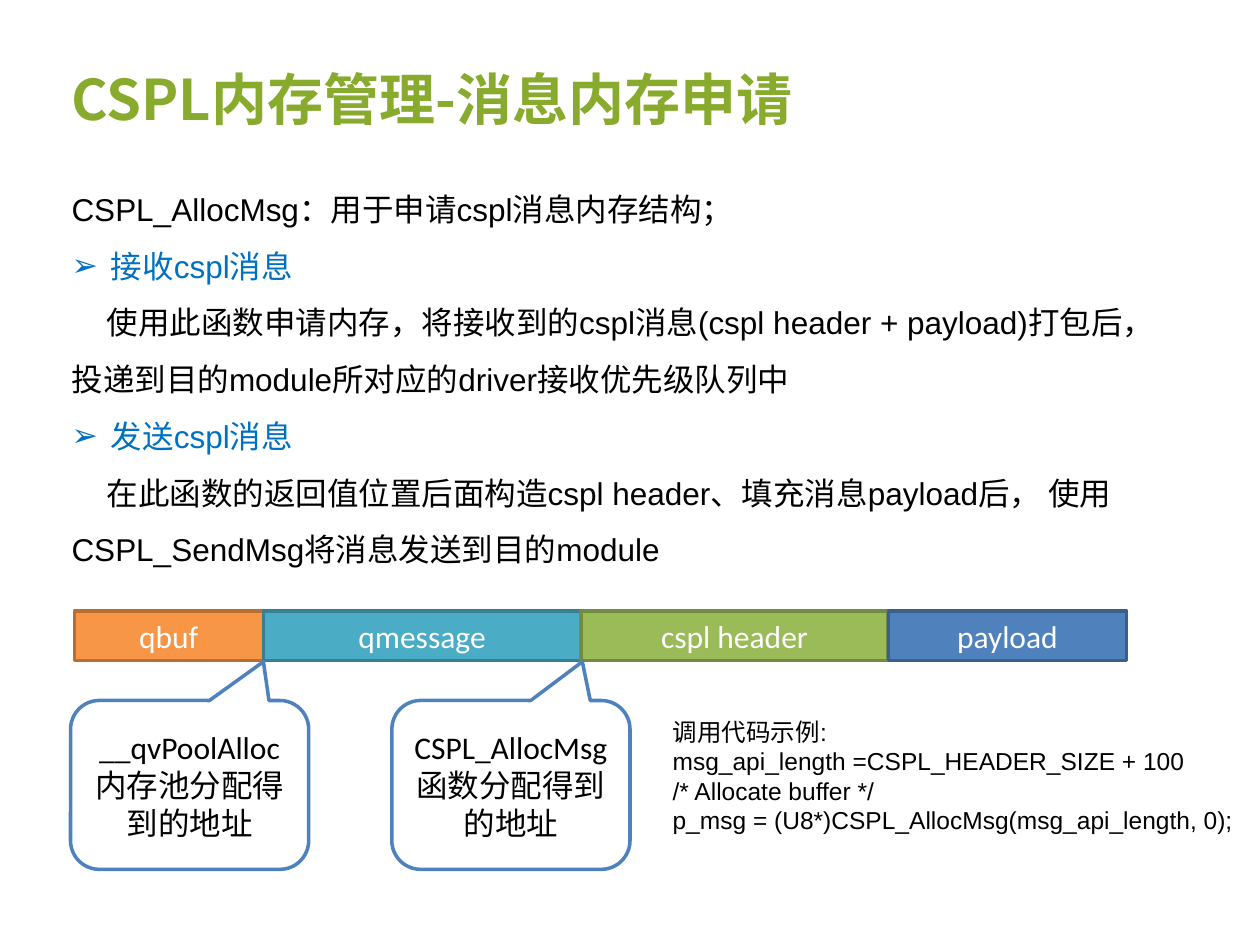
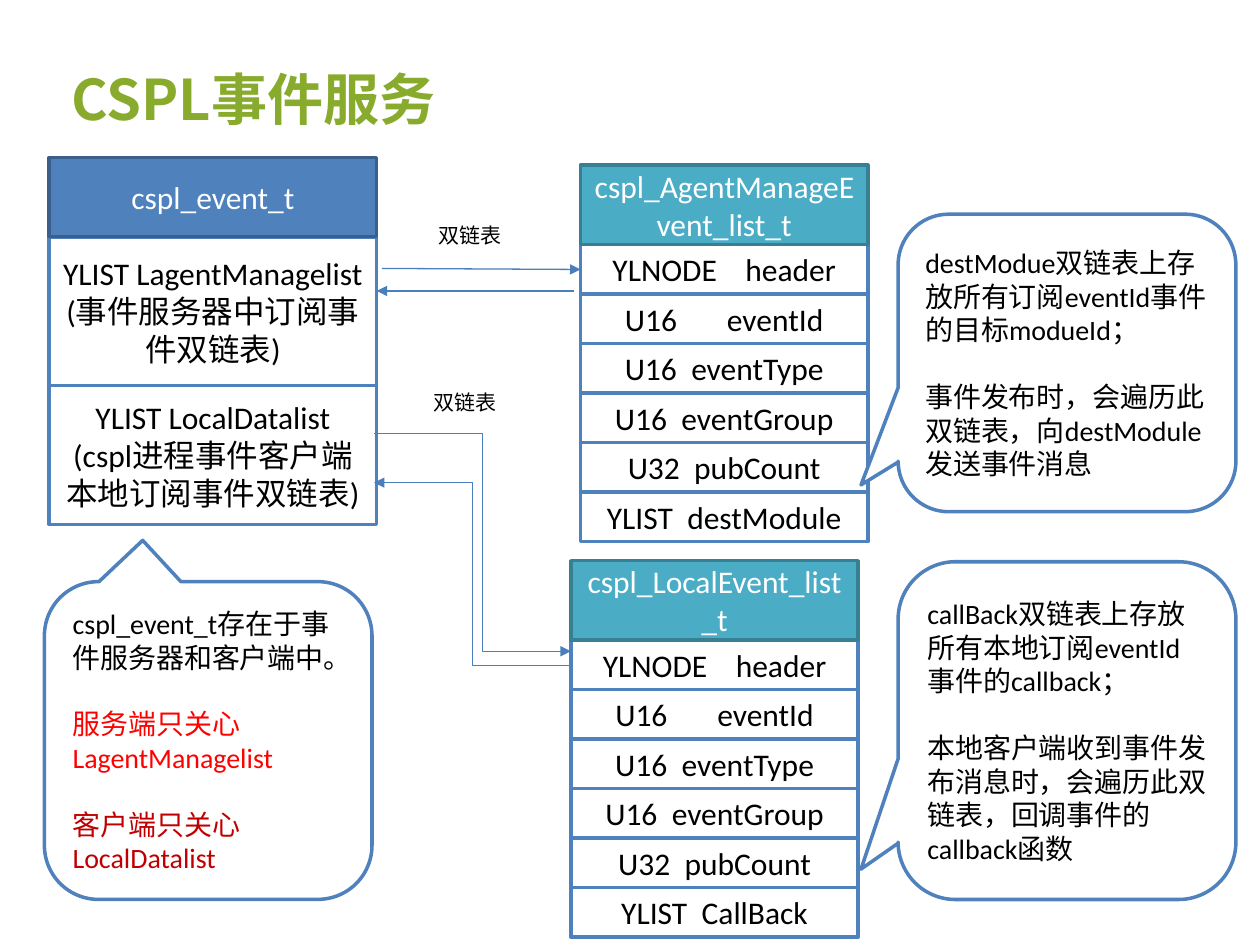
import pptx
import pptx.dml.color
import pptx.enum.shapes
import pptx.enum.text
import pptx.oxml.ns
import pptx.util
from lxml import etree

Pt = pptx.util.Pt
qn = pptx.oxml.ns.qn
PRESET = pptx.enum.shapes.MSO_SHAPE
CONNECTOR = pptx.enum.shapes.MSO_CONNECTOR
ALIGN = pptx.enum.text.PP_ALIGN
ANCHOR = pptx.enum.text.MSO_ANCHOR

COLORS = {
    "title": "88AB2D", "black": "000000", "white": "FFFFFF", "topic": "0070C0",
    "server": "FF0000", "client": "C00000", "arrow": "4B7EBC",
    "blue": "4F81BD", "blue_edge": "3A5F8C", "teal": "4BACC6", "teal_edge": "377F92",
    "orange": "F79646", "orange_edge": "B76F34", "green": "9BBB59", "green_edge": "738A42",
}
CJK_FONT = "Noto Sans CJK SC"

ALLOC_TITLE = "CSPL内存管理-消息内存申请"
ALLOC_NOTES = [
    ("lead", "CSPL_AllocMsg：用于申请cspl消息内存结构；"),
    ("topic", "接收cspl消息"),
    ("detail", "使用此函数申请内存，将接收到的cspl消息(cspl header + payload)打包后， "
               "投递到目的module所对应的driver接收优先级队列中"),
    ("topic", "发送cspl消息"),
    ("detail", "在此函数的返回值位置后面构造cspl header、填充消息payload后， "
               "使用CSPL_SendMsg将消息发送到目的module"),
]
MESSAGE_PARTS = [
    ("qbuf", 108, "orange"),
    ("qmessage", 181.4, "teal"),
    ("cspl header", 175.7, "green"),
    ("payload", 136.1, "blue"),
]
ADDRESS_CALLOUTS = [
    (40.3, "__qvPoolAlloc内存池分配得到的地址", (0.31, -0.73, 0.17)),
    (223.9, "CSPL_AllocMsg函数分配得到的地址", (0.3, -0.73, 0.17)),
]
CODE_LINES = [
    "调用代码示例:",
    "msg_api_length =CSPL_HEADER_SIZE + 100",
    "/* Allocate buffer */",
    "p_msg = (U8*)CSPL_AllocMsg(msg_api_length, 0);",
]

EVENT_TITLE = "CSPL事件服务"
EVENT_LISTS = [
    (85, ["YLIST LagentManagelist", "(事件服务器中订阅事件双链表)"]),
    (79.4, ["YLIST LocalDatalist", "(cspl进程事件客户端本地订阅事件双链表)"]),
]
NODE_FIELDS = [
    ("YLNODE", "header", 12.2),
    ("U16", "eventId", 24.4),
    ("U16", "eventType", 4.1),
    ("U16", "eventGroup", 4.1),
    ("U32", "pubCount", 4.1),
]
NODE_STRUCTS = [
    ("cspl_AgentManageEvent_list_t", 331.7, 94.4, "destModule"),
    ("cspl_LocalEvent_list_t", 326.2, 320.4, "CallBack"),
]
EVENT_CALLOUTS = [
    ((25.4, 332.4, 187.2, 181.6), (-0.2, -0.63, 0.17), [
        ("cspl_event_t存在于事件服务器和客户端中。", "black"),
        ("服务端只关心LagentManagelist", "server"),
        ("客户端只关心LocalDatalist", "client"),
    ]),
    ((513.2, 122.4, 193, 170), (-0.61, 0.41, 0.17), [
        ("destModue双链表上存放所有订阅eventId事件的目标modueId；", "black"),
        ("事件发布时，会遍历此双链表，向destModule发送事件消息", "black"),
    ]),
    ((513.2, 321, 193, 193), (-0.61, 0.41, 0.17), [
        ("callBack双链表上存放所有本地订阅eventId事件的callback；", "black"),
        ("本地客户端收到事件发布消息时，会遍历此双链表，回调事件的callback函数", "black"),
    ]),
]
LINK_LABEL = "双链表"
LINK_LABEL_SPOTS = [(243.4, 123.8), (240.5, 218.9)]
STRAIGHT_LINKS = [((218.2, 153.4), (331.7, 154)), ((328.3, 166.3), (215.3, 166.3))]
BENT_LINKS = [((213.8, 247.7), (326.2, 372.2), 0.55), ((326.2, 380.2), (213.8, 275.8), 0.5)]


def rgb(name):
    return pptx.dml.color.RGBColor.from_string(COLORS[name])


def add_span(para, text, size, color="black", font="Calibri", bold=False, gap=0):
    span = para.add_run()
    span.text = text
    span.font.size = Pt(size)
    span.font.name = font
    span.font.bold = bold
    span.font.color.rgb = rgb(color)
    properties = span.font._element
    etree.SubElement(properties, qn("a:ea"), typeface=CJK_FONT)
    if gap:
        properties.set("spc", str(round(gap * 100)))


def next_para(frame, index):
    return frame.paragraphs[0] if index == 0 else frame.add_paragraph()


def add_text(page, left, top, width, height, anchor=ANCHOR.TOP):
    box = page.shapes.add_textbox(Pt(left), Pt(top), Pt(width), Pt(height))
    box.text_frame.word_wrap = True
    box.text_frame.vertical_anchor = anchor
    return box.text_frame


def add_block(page, preset, place, fill="white", edge="blue", adjustments=()):
    shape = page.shapes.add_shape(preset, *map(Pt, place))
    shape.shadow.inherit = False
    shape.fill.solid()
    shape.fill.fore_color.rgb = rgb(fill)
    shape.line.color.rgb = rgb(edge)
    shape.line.width = Pt(2)
    for index, value in enumerate(adjustments):
        shape.adjustments[index] = value
    shape.text_frame.word_wrap = True
    shape.text_frame.vertical_anchor = ANCHOR.MIDDLE
    return shape.text_frame


def add_centred(frame, lines, color="black"):
    for index, line in enumerate(lines):
        para = next_para(frame, index)
        para.alignment = ALIGN.CENTER
        add_span(para, line, 18, color)


def add_head(page, preset, place, text, color):
    add_centred(add_block(page, preset, place, color, color + "_edge"), [text], "white")


def add_link(page, start, end, bend=None):
    kind = CONNECTOR.STRAIGHT if bend is None else CONNECTOR.ELBOW
    link = page.shapes.add_connector(kind, *map(Pt, start + end))
    link.line.color.rgb = rgb("arrow")
    link.line.width = Pt(0.75)
    etree.SubElement(link.line._get_or_add_ln(), qn("a:tailEnd"), type="triangle")
    properties = link._element.spPr
    etree.SubElement(properties, qn("a:effectLst"))
    if bend is not None:
        guides = properties.find(qn("a:prstGeom")).get_or_add_avLst()
        etree.SubElement(guides, qn("a:gd"), name="adj1", fmla=f"val {round(bend * 100000)}")


def add_page(deck, title):
    page = deck.slides.add_slide(deck.slide_layouts[6])
    frame = add_text(page, 33.8, 33.8, 460, 44.6, ANCHOR.MIDDLE)
    add_span(frame.paragraphs[0], title, 32, "title", CJK_FONT, bold=True)
    return page


def add_alloc_notes(page):
    frame = add_text(page, 33.8, 94.3, 638, 236)
    for index, (role, text) in enumerate(ALLOC_NOTES):
        para = next_para(frame, index)
        para.line_spacing = 1.5
        properties = para._p.get_or_add_pPr()
        if role == "topic":
            properties.set("marL", str(Pt(22.5)))
            properties.set("indent", str(Pt(-22.5)))
            etree.SubElement(properties, qn("a:buFont"), typeface="Arial")
            etree.SubElement(properties, qn("a:buChar"), char="➢")
        elif role == "detail":
            properties.set("indent", str(Pt(20)))
        add_span(para, text, 18, "topic" if role == "topic" else "black", "Arial")


def build_alloc_page(deck):
    page = add_page(deck, ALLOC_TITLE)
    add_alloc_notes(page)
    left = 42.5
    for name, width, color in MESSAGE_PARTS:
        add_head(page, PRESET.FLOWCHART_PROCESS, (left, 349.2, width, 28.3), name, color)
        left += width
    for left, text, pointer in ADDRESS_CALLOUTS:
        place = (left, 400.3, 136.1, 96.5)
        add_centred(add_block(page, PRESET.ROUNDED_RECTANGULAR_CALLOUT, place,
                              adjustments=pointer), [text])
    frame = add_text(page, 377.3, 406, 340, 92)
    for index, line in enumerate(CODE_LINES):
        add_span(next_para(frame, index), line, 14, font="Arial")


def add_node_struct(page, name, left, top, list_name):
    width, head_height, row_height = 164.2, 45.3, 28.3
    fields = NODE_FIELDS + [("YLIST", list_name, 4.1)]
    for index, (kind, field, gap) in enumerate(fields):
        row_top = top + head_height + index * row_height
        frame = add_block(page, PRESET.FLOWCHART_PROCESS, (left, row_top, width, row_height))
        para = frame.paragraphs[0]
        para.alignment = ALIGN.CENTER
        add_span(para, kind, 18)
        add_span(para, " ", 18, gap=gap)
        add_span(para, field, 18)
    add_head(page, PRESET.RECTANGLE, (left, top, width, head_height), name, "teal")


def build_event_page(deck):
    page = add_page(deck, EVENT_TITLE)
    left, top, width, head_height = 28.1, 90, 187.2, 45.3
    row_top = top + head_height
    for height, lines in EVENT_LISTS:
        add_centred(add_block(page, PRESET.RECTANGLE, (left, row_top, width, height)), lines)
        row_top += height
    add_head(page, PRESET.RECTANGLE, (left, top, width, head_height), "cspl_event_t", "blue")
    for struct in NODE_STRUCTS:
        add_node_struct(page, *struct)
    for start, end in STRAIGHT_LINKS:
        add_link(page, start, end)
    for start, end, bend in BENT_LINKS:
        add_link(page, start, end, bend)
    for place, pointer, notes in EVENT_CALLOUTS:
        frame = add_block(page, PRESET.ROUNDED_RECTANGULAR_CALLOUT, place, adjustments=pointer)
        for index, (text, color) in enumerate(notes):
            para = next_para(frame, index)
            para.alignment = ALIGN.LEFT
            if index:
                para.space_before = Pt(19)
            add_span(para, text, 16, color)
    for left, top in LINK_LABEL_SPOTS:
        frame = add_text(page, left, top, 62.6, 21.6)
        add_span(frame.paragraphs[0], LINK_LABEL, 12, font="Arial")


def main():
    deck = pptx.Presentation()
    deck.slide_width, deck.slide_height = Pt(720), Pt(540)
    build_alloc_page(deck)
    build_event_page(deck)
    deck.save("out.pptx")


if __name__ == "__main__":
    main()
